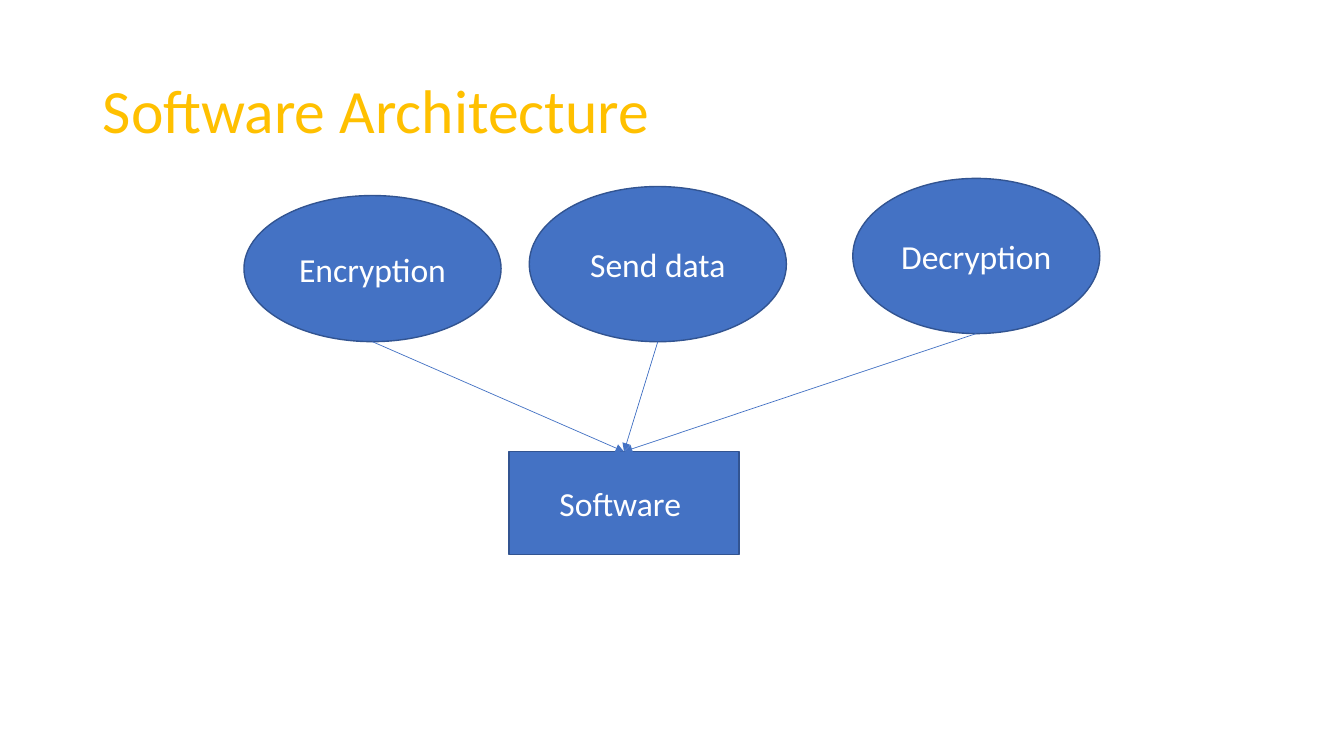
import pptx
import pptx.dml.color
import pptx.enum.shapes
import pptx.enum.text
import pptx.oxml.ns
import pptx.util
from lxml import etree

WIDTH, HEIGHT = pptx.util.Inches(13.333), pptx.util.Inches(7.5)
FONT = "Calibri"
BLUE, DARK_BLUE, GOLD, WHITE = "4472C4", "325491", "FFC000", "FFFFFF"
SHAPE = pptx.enum.shapes.MSO_SHAPE
ALIGN = pptx.enum.text.PP_ALIGN

TITLE_BOX = (6.9, 5.33, 86.25, 19.33)
SOFTWARE_BOX = (37.88, 59.73, 17.1, 13.6)
FUNCTIONS = [
    ("Encryption", (18.15, 25.87, 19.13, 19.33)),
    ("Send data", (39.38, 24.67, 19.13, 20.53)),
    ("Decryption", (63.45, 23.6, 18.38, 20.53)),
]


def color(hex_value):
    return pptx.dml.color.RGBColor.from_string(hex_value)


def share(box):
    x, y, w, h = box
    return (int(WIDTH * x / 100), int(HEIGHT * y / 100),
            int(WIDTH * w / 100), int(HEIGHT * h / 100))


def set_text(sp, text, size, hex_value, align):
    tf = sp.text_frame
    tf.text = text
    tf.word_wrap = True
    tf.vertical_anchor = pptx.enum.text.MSO_ANCHOR.MIDDLE
    p = tf.paragraphs[0]
    p.alignment = align
    font = p.runs[0].font
    font.name, font.size = FONT, pptx.util.Pt(size)
    font.color.rgb = color(hex_value)


def add_title(s, text):
    sp = s.shapes.title
    sp.left, sp.top, sp.width, sp.height = share(TITLE_BOX)
    set_text(sp, text, 44, GOLD, ALIGN.LEFT)
    sp.text_frame.paragraphs[0].line_spacing = 0.9


def add_node(s, kind, text, box):
    sp = s.shapes.add_shape(kind, *share(box))
    sp.shadow.inherit = False
    sp.fill.solid()
    sp.fill.fore_color.rgb = color(BLUE)
    sp.line.color.rgb = color(DARK_BLUE)
    sp.line.width = pptx.util.Pt(1)
    set_text(sp, text, 24, WHITE, ALIGN.CENTER)
    return sp


def add_arrow(s, source, target):
    line = s.shapes.add_connector(
        pptx.enum.shapes.MSO_CONNECTOR.STRAIGHT,
        source.left + source.width // 2, source.top + source.height,
        target.left + target.width // 2, target.top)
    line.line.color.rgb = color(BLUE)
    line.line.width = pptx.util.Pt(0.5)
    qn = pptx.oxml.ns.qn
    etree.SubElement(line.line._get_or_add_ln(), qn("a:tailEnd"), type="triangle")
    etree.SubElement(line._element.spPr, qn("a:effectLst"))


def main():
    prs = pptx.Presentation()
    prs.slide_width, prs.slide_height = WIDTH, HEIGHT
    s = prs.slides.add_slide(prs.slide_layouts.get_by_name("Title Only"))
    add_title(s, "Software Architecture")
    ovals = [add_node(s, SHAPE.OVAL, text, box) for text, box in FUNCTIONS]
    software = add_node(s, SHAPE.RECTANGLE, "Software ", SOFTWARE_BOX)
    for oval in ovals:
        add_arrow(s, oval, software)
    prs.save("out.pptx")


if __name__ == "__main__":
    main()
